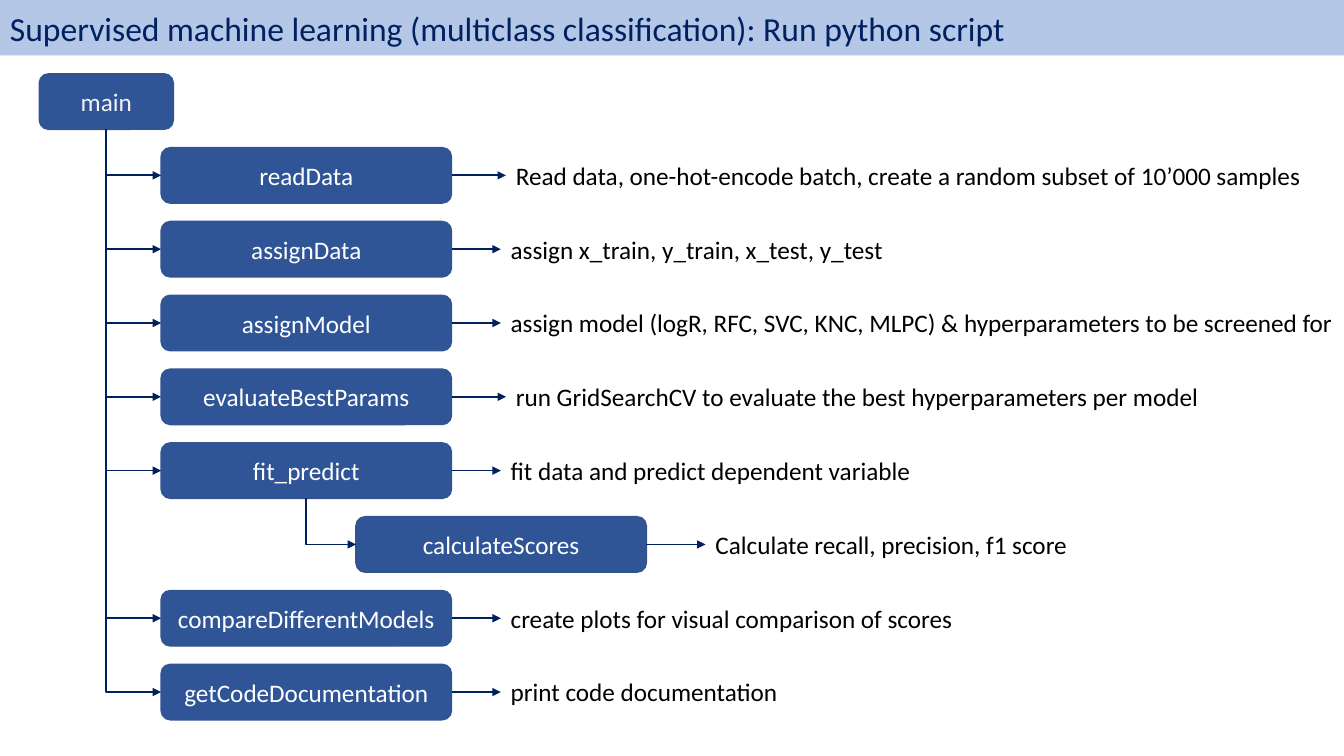
import pptx
import pptx.dml.color
import pptx.enum.shapes
import pptx.enum.text
import pptx.oxml
import pptx.oxml.ns
import pptx.util

Cm = pptx.util.Cm
Pt = pptx.util.Pt
RGBColor = pptx.dml.color.RGBColor
MSO_SHAPE = pptx.enum.shapes.MSO_SHAPE
MSO_CONNECTOR = pptx.enum.shapes.MSO_CONNECTOR
MSO_ANCHOR = pptx.enum.text.MSO_ANCHOR
PP_ALIGN = pptx.enum.text.PP_ALIGN
qn = pptx.oxml.ns.qn

BANNER_BLUE = RGBColor(0xB4, 0xC7, 0xE7)
NAVY = RGBColor(0x00, 0x20, 0x60)
STEP_BLUE = RGBColor(0x2F, 0x55, 0x97)
STEP_EDGE = RGBColor(0x32, 0x54, 0x91)
PALE_GREY = RGBColor(0xF2, 0xF2, 0xF2)
WHITE = RGBColor(0xFF, 0xFF, 0xFF)
BLACK = RGBColor(0x00, 0x00, 0x00)

FONT = "Calibri"
SLIDE_WIDTH = Cm(33.87)
SLIDE_HEIGHT = Cm(19.05)
ROW_PITCH = Cm(1.86)
STEP_HEIGHT = Cm(1.4)
STEP_WIDTH = Cm(7.32)
STEP_LEFT = Cm(4.06)
SUBSTEP_LEFT = Cm(8.97)
NOTE_HEIGHT = Cm(1.02)
NOTE_LEFT = Cm(12.62)
WIDE_GAP_NOTE_LEFT = Cm(12.75)
SUBSTEP_NOTE_LEFT = Cm(17.78)
LEFT_SITE, BOTTOM_SITE, RIGHT_SITE = 1, 2, 3

STEPS = [
    ("readData", STEP_LEFT, WIDE_GAP_NOTE_LEFT, Cm(20.9),
     "Read data, one-hot-encode batch, create a random subset of 10’000 samples"),
    ("assignData", STEP_LEFT, NOTE_LEFT, Cm(11.84),
     "assign x_train, y_train, x_test, y_test"),
    ("assignModel", STEP_LEFT, NOTE_LEFT, Cm(21.59),
     "assign model (logR, RFC, SVC, KNC, MLPC) & hyperparameters to be screened for"),
    ("evaluateBestParams", STEP_LEFT, WIDE_GAP_NOTE_LEFT, Cm(18.26),
     "run GridSearchCV to evaluate the best hyperparameters per model"),
    ("fit_predict", STEP_LEFT, NOTE_LEFT, Cm(12.47),
     "fit data and predict dependent variable"),
    ("calculateScores", SUBSTEP_LEFT, SUBSTEP_NOTE_LEFT, Cm(10.11),
     "Calculate recall, precision, f1 score"),
    ("compareDifferentModels", STEP_LEFT, NOTE_LEFT, Cm(12.09),
     "create plots for visual comparison of scores"),
    ("getCodeDocumentation", STEP_LEFT, NOTE_LEFT, Cm(8.41),
     "print code documentation"),
]


def write(frame, text, size, color, align=PP_ALIGN.LEFT):
    frame.word_wrap = True
    paragraph = frame.paragraphs[0]
    paragraph.alignment = align
    run = paragraph.add_run()
    run.text = text
    run.font.name = FONT
    run.font.size = Pt(size)
    run.font.color.rgb = color


def add_banner(slide, title):
    banner = slide.shapes.add_shape(MSO_SHAPE.RECTANGLE, 0, 0, SLIDE_WIDTH, STEP_HEIGHT)
    banner.shadow.inherit = False
    banner.fill.solid()
    banner.fill.fore_color.rgb = BANNER_BLUE
    banner.line.fill.background()
    banner.text_frame.vertical_anchor = MSO_ANCHOR.MIDDLE
    write(banner.text_frame, title, 24, NAVY)


def add_step(slide, label, left, top, width=STEP_WIDTH, color=WHITE):
    step = slide.shapes.add_shape(MSO_SHAPE.ROUNDED_RECTANGLE, left, top, width, STEP_HEIGHT)
    step.shadow.inherit = False
    step.fill.solid()
    step.fill.fore_color.rgb = STEP_BLUE
    step.line.color.rgb = STEP_EDGE
    step.line.width = Pt(1)
    step.text_frame.vertical_anchor = MSO_ANCHOR.MIDDLE
    write(step.text_frame, label, 18, color, PP_ALIGN.CENTER)
    return step


def add_note(slide, text, left, width, step):
    top = step.top + (STEP_HEIGHT - NOTE_HEIGHT) // 2
    note = slide.shapes.add_textbox(left, top, width, NOTE_HEIGHT)
    write(note.text_frame, text, 18, BLACK)
    return note


def add_arrow(slide, kind, source, source_site, target):
    arrow = slide.shapes.add_connector(kind, 0, 0, 0, 0)
    arrow.begin_connect(source, source_site)
    arrow.end_connect(target, LEFT_SITE)
    arrow.line.color.rgb = NAVY
    arrow.line.width = Pt(1.25)
    properties = arrow._element.spPr
    properties.find(qn("a:ln")).append(pptx.oxml.parse_xml(
        '<a:tailEnd xmlns:a="http://schemas.openxmlformats.org/drawingml/2006/main" type="triangle"/>'))
    properties.append(pptx.oxml.parse_xml(
        '<a:effectLst xmlns:a="http://schemas.openxmlformats.org/drawingml/2006/main"/>'))
    return arrow


def add_branch(slide, parent, child):
    branch = add_arrow(slide, MSO_CONNECTOR.ELBOW, parent, BOTTOM_SITE, child)
    run, drop = branch.width, branch.height
    branch.left += (run - drop) // 2
    branch.top += (drop - run) // 2
    branch.width, branch.height = drop, run
    properties = branch._element.spPr
    properties.find(qn("a:prstGeom")).set("prst", "bentConnector2")
    turn = properties.find(qn("a:xfrm"))
    turn.set("rot", "16200000")
    turn.set("flipH", "1")


def main():
    deck = pptx.Presentation()
    deck.slide_width = SLIDE_WIDTH
    deck.slide_height = SLIDE_HEIGHT
    slide = deck.slides.add_slide(deck.slide_layouts[6])

    add_banner(slide, "Supervised machine learning (multiclass classification): Run python script")
    main_step = add_step(slide, "main", Cm(0.99), ROW_PITCH, Cm(3.38), PALE_GREY)

    previous = main_step
    for row, (label, left, note_left, note_width, text) in enumerate(STEPS, start=2):
        step = add_step(slide, label, left, row * ROW_PITCH)
        note = add_note(slide, text, note_left, note_width, step)
        add_branch(slide, previous if left == SUBSTEP_LEFT else main_step, step)
        add_arrow(slide, MSO_CONNECTOR.STRAIGHT, step, RIGHT_SITE, note)
        previous = step

    deck.save("out.pptx")


if __name__ == "__main__":
    main()
